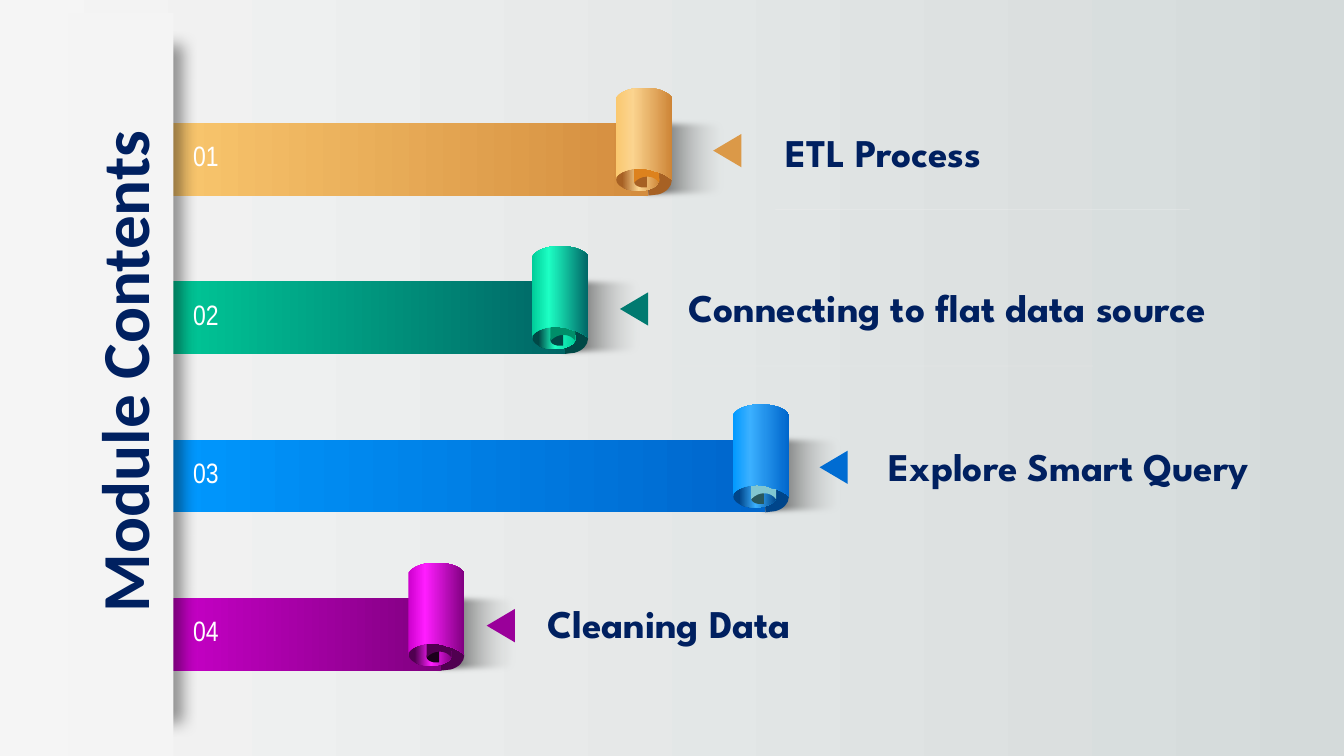
from dataclasses import dataclass
from lxml import etree
from pptx import Presentation
from pptx import util as u
from pptx.dml.color import RGBColor
from pptx.enum import shapes, text
from pptx.oxml.ns import qn

NAVY, PALE = "002060", "F4F4F4"
EDGE = 3.84
FIRST, PITCH = 2.21, 3.99
KIND = shapes.MSO_SHAPE


@dataclass
class Band:
    label: str
    roll: float
    arrow: float
    left: float
    top: float
    width: float
    bar: tuple[str, str]
    sheet: tuple[str, str]
    mouth: tuple[str, str]
    tail: str
    hole: str
    lip: str
    tip: str
    rule: float | None = None


BANDS = [
    Band("ETL Process", 15.52, 17.91, 19.54, 3.1, 8.94, ("FAC86F", "D48D3E"),
         ("FBD48F", "CE8537"), ("A76124", "CE8537"), "A76124", "A76124", "DD821D", "DB9948", 5.28),
    Band("Connecting to flat data source", 13.41, 15.56, 17.1, 7.01, 15.9, ("00CC99", "006666"),
         ("1DFFC4", "006666"), ("004846", "00CC99"), "004846", "004846", "008E69", "007A70", 9.22),
    Band("Explore Smart Query", 18.47, 20.59, 22.15, 11.02, 10.87, ("0099FF", "0066CC"),
         ("3BB0FF", "0066CC"), ("00458A", "00458A"), "00458A", "28585E", "81C6D1", "006CD2"),
    Band("Cleaning Data", 10.29, 12.2, 13.54, 14.98, 11.66, ("CC00CC", "800080"),
         ("FF1DFF", "800080"), ("500050", "800080"), "500050", "1A001A", "500050", "9A009A"),
]

# Outlines in cm from the roll's top left: one point is a line, three are a curve.
TAIL = [((1.41, 2.34),), ((1.41, 2.49), (1.27, 2.64), (1.07, 2.69)), ((0.82, 2.72),),
        ((0.82, 1.93),), ((1.07, 1.96),), ((1.27, 2.03), (1.41, 2.16), (1.41, 2.34))]
HOLE = [((0.46, 2.36),), ((0.46, 2.44), (0.53, 2.49), (0.64, 2.51)), ((0.78, 2.51),),
        ((0.78, 2.22),), ((0.64, 2.24),), ((0.53, 2.26), (0.46, 2.31), (0.46, 2.36))]
LIP = [((0.46, 1.3),), ((0.56, 1.12), (0.99, 1.12), (1.09, 1.3)), ((1.09, 2.39),),
       ((1.02, 2.29), (0.91, 2.24), (0.79, 2.24)), ((0.66, 2.24), (0.56, 2.29), (0.46, 2.39))]
ROLL = [((0, 0.25),), ((0.13, 0.08), (0.41, 0), (0.71, 0)), ((0.99, 0), (1.3, 0.08), (1.41, 0.25)),
        ((1.41, 2.31),), ((1.32, 2.24), (1.22, 2.18), (1.09, 2.13)), ((0.99, 2.11),),
        ((0.86, 2.06),), ((0.79, 2.06), (0.71, 2.03), (0.61, 2.03)),
        ((0.33, 2.03), (0.08, 2.13), (0.01, 2.26)), ((0, 2.34),)]


def color(code: str) -> RGBColor:
    return RGBColor.from_string(code)


def node(root, tag: str, **attrs):
    return etree.SubElement(root, qn(tag), {k: str(v) for k, v in attrs.items()})


def blend(fill, root, stops: list[tuple]) -> None:
    """Fill from left to right; a stop is place, colour and perhaps opacity, in percent."""
    fill.gradient()
    fill.gradient_angle = 0
    marks = root.find(".//" + qn("a:gsLst"))
    for old in list(marks):
        marks.remove(old)
    for place, code, *clear in stops:
        tint = node(node(marks, "a:gs", pos=place * 1000), "a:srgbClr", val=code)
        for part in clear:
            node(tint, "a:alpha", val=part * 1000)


def paint(shape, look: str | list[tuple]):
    shape.shadow.inherit = False
    shape.line.fill.background()
    if isinstance(look, str):
        shape.fill.solid()
        shape.fill.fore_color.rgb = color(look)
    else:
        blend(shape.fill, shape.element, look)
    return shape


def block(slide, kind, left: float, top: float, width: float, height: float, look):
    box = map(u.Cm, (left, top, width, height))
    return paint(slide.shapes.add_shape(kind, *box), look)


def bend(shape, parts: list[tuple]) -> None:
    """Join each three lines that stand for a curve into one curve."""
    lines = iter(shape.element.findall(".//" + qn("a:lnTo")))
    for part in parts[1:]:
        run = [next(lines) for _ in part]
        if len(run) == 3:
            curve = etree.Element(qn("a:cubicBezTo"))
            run[0].addprevious(curve)
            for line in run:
                curve.append(line[0])
                line.getparent().remove(line)


def form(slide, parts: list[tuple], left: float, top: float, look) -> None:
    dots = [(u.Cm(left + x), u.Cm(top + y)) for part in parts for x, y in part]
    pen = slide.shapes.build_freeform(*dots[0])
    pen.add_line_segments(dots[1:], close=True)
    shape = paint(pen.convert_to_shape(), look)
    bend(shape, parts)


def write(frame, words: str, font: str, size: int, code: str, bold: bool) -> None:
    frame.word_wrap = True
    run = frame.paragraphs[0].add_run()
    run.text = words
    run.font.name, run.font.size, run.font.bold = font, u.Pt(size), bold
    run.font.color.rgb = color(code)


def note(slide, left: float, top: float, width: float, height: float, *style) -> None:
    box = slide.shapes.add_textbox(*map(u.Cm, (left, top, width, height)))
    write(box.text_frame, *style)


def scroll(slide, band: Band, top: float) -> None:
    """Draw a bar that ends in a rolled sheet."""
    x, (start, end), (glow, back) = band.roll, band.bar, band.sheet
    shade = block(slide, KIND.RECTANGLE, x + 0.53, top + 0.69, 2.36, 2.18,
                  [(0, "000000"), (100, "E9EBEA", 0)])
    node(shade.element.spPr.find(qn("a:effectLst")), "a:softEdge", rad=u.Pt(5))
    form(slide, TAIL, x, top, band.tail)
    block(slide, KIND.RECTANGLE, EDGE, top + 0.89, x + 0.82 - EDGE, 1.83,
          [(0, start), (100, end)])
    block(slide, KIND.OVAL, x + 0.01, top + 2.04, 1.09, 0.56,
          [(14, band.mouth[0]), (52, glow), (100, band.mouth[1])])
    form(slide, HOLE, x, top, band.hole)
    form(slide, LIP, x, top, band.lip)
    form(slide, ROLL, x, top, [(0, start), (30, glow), (100, back)])


def panel(slide) -> None:
    side = block(slide, KIND.RECTANGLE, 2.95, 1.14, 1.4, 17.07, PALE)
    cast = node(side.element.spPr.find(qn("a:effectLst")), "a:outerShdw",
                blurRad=u.Pt(11), dist=u.Pt(7), dir=0, algn="l", rotWithShape=0)
    node(node(cast, "a:srgbClr", val="000000"), "a:alpha", val=40000)
    block(slide, KIND.RECTANGLE, 1.73, 0.33, 2.64, 18.72, PALE)


def rule(slide, left: float, top: float) -> None:
    line = slide.shapes.add_connector(shapes.MSO_CONNECTOR.STRAIGHT, u.Cm(left), u.Cm(top),
                                      u.Cm(left + 10.44), u.Cm(top))
    line.line.width = u.Pt(0.5)
    line.line.color.rgb = color("F2F2F2")
    node(line.element.find(".//" + qn("a:srgbClr")), "a:alpha", val=30000)
    node(line.element.spPr, "a:effectLst")


def head(slide) -> None:
    title = slide.shapes.title
    title.left, title.top, title.width, title.height = map(u.Cm, (-6.27, 8.2, 18.72, 2.31))
    title.rotation = 270
    frame = title.text_frame
    write(frame, "Module Contents", "Calibri", 48, NAVY, True)
    frame.auto_size = text.MSO_AUTO_SIZE.NONE
    frame.vertical_anchor = text.MSO_ANCHOR.MIDDLE
    frame.paragraphs[0].alignment = text.PP_ALIGN.CENTER
    title.element.getparent().append(title.element)


def main() -> None:
    deck = Presentation()
    deck.slide_width, deck.slide_height = u.Cm(33.87), u.Cm(19.05)
    slide = deck.slides.add_slide(deck.slide_layouts[5])
    blend(slide.background.fill, slide.element, [(0, "F5F5F5"), (100, "D4DADA")])
    tops = [FIRST + PITCH * row for row in range(len(BANDS))]
    for band, top in zip(BANDS, tops):
        scroll(slide, band, top)
    panel(slide)
    for row, (band, top) in enumerate(zip(BANDS, tops), 1):
        note(slide, 4.62, top + 1.16, 1.4, 1.12, f"{row:02}", "Arial Narrow", 20, "FFFFFF", False)
        tip = block(slide, KIND.ISOSCELES_TRIANGLE, band.arrow, top + 1.23, 0.84, 0.71, band.tip)
        tip.rotation = 270
        note(slide, band.left, band.top, band.width, 1.45, band.label,
             "League Spartan", 28, NAVY, True)
        if band.rule:
            rule(slide, band.left, band.rule)
    head(slide)
    deck.save("out.pptx")


if __name__ == "__main__":
    main()
